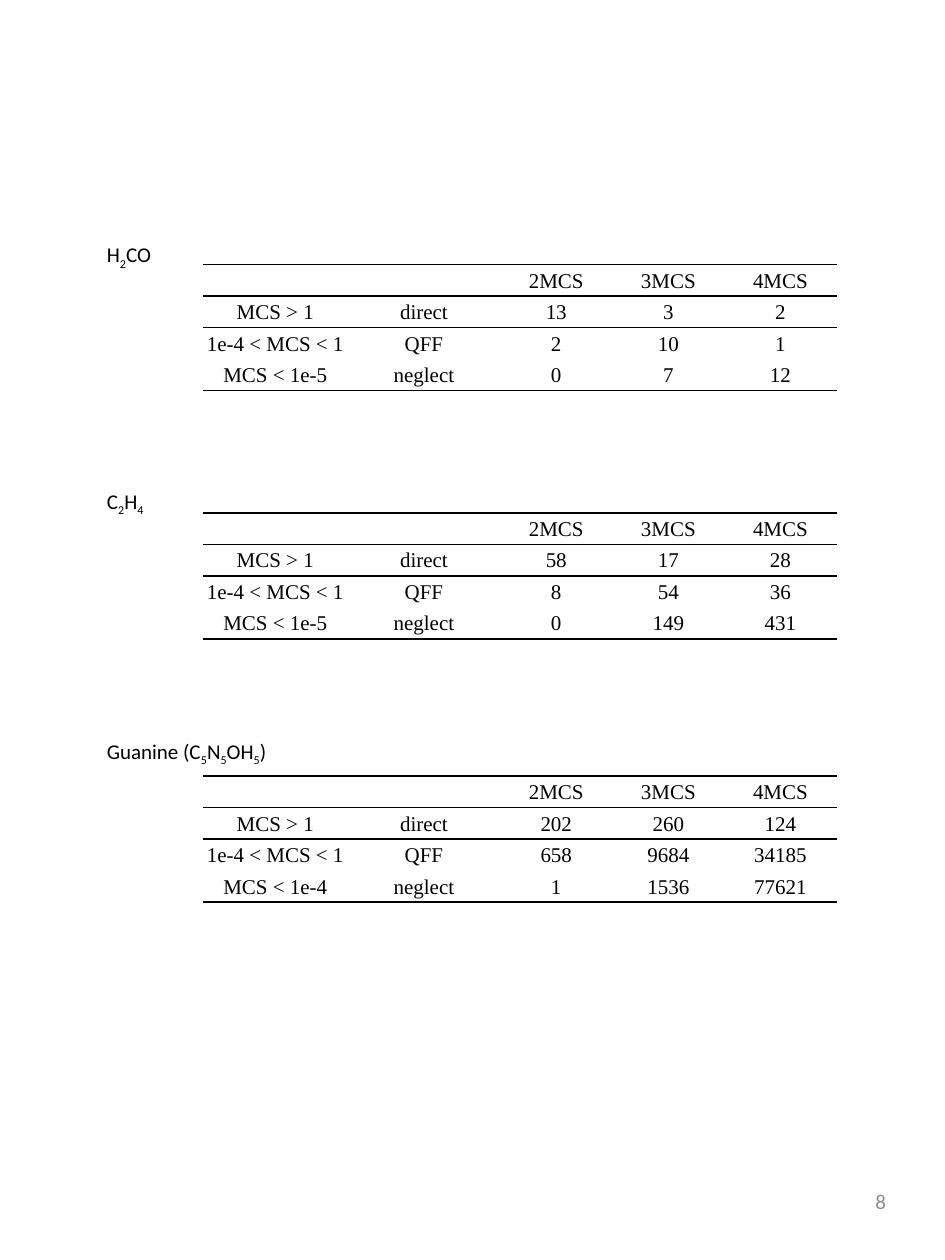
"""Build a slide of three mode-coupling tables, one for each molecule."""
from dataclasses import dataclass
from itertools import groupby

from lxml.etree import SubElement
from pptx import Presentation
from pptx.dml.color import RGBColor
from pptx.enum.text import MSO_ANCHOR, PP_ALIGN
from pptx.oxml import parse_xml
from pptx.oxml.ns import nsdecls, qn
from pptx.util import Inches, Pt


@dataclass(frozen=True)
class Theme:
    """Colours, fonts, sizes and the grid unit of the slide."""
    ink: str = "000000"
    muted: str = "8C8C8C"
    label_font: str = "Calibri"
    table_font: str = "Times New Roman"
    size: int = 12
    rule: int = 1
    unit: float = 0.25
    table_style: str = "{2D5ABB26-0587-4C30-8999-92F81FD0307C}"


class SlideBuilder:
    """Places text and tables on a grid of 30 columns and 40 rows."""

    def __init__(self, slide, theme):
        """Keep the slide and its theme."""
        self.slide = slide
        self.theme = theme

    def grid(self, *cells):
        """Turn grid counts into lengths."""
        return [Inches(cell * self.theme.unit) for cell in cells]

    def style(self, paragraph, font_name, color, align):
        """Set the font and alignment of a paragraph."""
        paragraph.alignment = align
        paragraph.font.name = font_name
        paragraph.font.size = Pt(self.theme.size)
        paragraph.font.color.rgb = RGBColor.from_string(color)

    def text_box(self, column, row, width, height):
        """Add an empty text box and return its frame."""
        return self.slide.shapes.add_textbox(*self.grid(column, row, width, height)).text_frame

    def formula(self, text, column, row, width):
        """Add a molecule label with its digits as subscripts."""
        frame = self.text_box(column, row, width, 1.2)
        frame.word_wrap = False
        paragraph = frame.paragraphs[0]
        self.style(paragraph, self.theme.label_font, self.theme.ink, PP_ALIGN.LEFT)
        for is_subscript, letters in groupby(text, str.isdigit):
            run = paragraph.add_run()
            run.text = "".join(letters)
            if is_subscript:
                run.font._element.set("baseline", "-25000")

    def page_number(self, number, column, row, width, height):
        """Add the page number, right-aligned."""
        frame = self.text_box(column, row, width, height)
        frame.word_wrap = True
        frame.vertical_anchor = MSO_ANCHOR.MIDDLE
        paragraph = frame.paragraphs[0]
        paragraph.text = str(number)
        self.style(paragraph, self.theme.label_font, self.theme.muted, PP_ALIGN.RIGHT)

    def border(self, cell, side):
        """Rule one side of a cell."""
        line = parse_xml(
            f'<a:{side} {nsdecls("a")} w="{Pt(self.theme.rule)}"><a:solidFill>'
            f'<a:srgbClr val="{self.theme.ink}"/></a:solidFill></a:{side}>'
        )
        cell._tc.get_or_add_tcPr().insert(0, line)

    def fill_cell(self, cell, text):
        """Write and style one table cell."""
        cell.fill.background()
        cell.vertical_anchor = MSO_ANCHOR.MIDDLE
        cell.margin_left = cell.margin_right = cell.margin_top = Inches(0.01)
        cell.margin_bottom = 0
        paragraph = cell.text_frame.paragraphs[0]
        paragraph.text = text
        self.style(paragraph, self.theme.table_font, self.theme.ink, PP_ALIGN.CENTER)
        if not text:
            SubElement(paragraph._p, qn("a:endParaRPr"), sz=str(self.theme.size * 100))

    def table(self, rows, column, row, widths):
        """Add a table ruled above, below and under its header."""
        frame = self.slide.shapes.add_table(
            len(rows), len(widths), *self.grid(column, row, sum(widths), len(rows))
        )
        table = frame.table
        table.first_row = table.horz_banding = False
        frame._element.find(".//" + qn("a:tableStyleId")).text = self.theme.table_style
        for table_column, width in zip(table.columns, self.grid(*widths)):
            table_column.width = width
        for row_index, texts in enumerate(rows):
            for column_index, text in enumerate(texts):
                cell = table.cell(row_index, column_index)
                self.fill_cell(cell, text)
                if row_index < 2:
                    self.border(cell, "lnT")
                if row_index == len(rows) - 1:
                    self.border(cell, "lnB")


HEADER = ("", "", "2MCS", "3MCS", "4MCS")
TREATMENTS = ("direct", "QFF", "neglect")
COLUMN_WIDTHS = (4.6, 4.84, 3.56, 3.56, 3.56)
MOLECULES = (
    ("H2CO", 2.24, 7.48, 8.4, "MCS < 1e-5",
     (("13", "3", "2"), ("2", "10", "1"), ("0", "7", "12"))),
    ("C2H4", 2.04, 15.32, 16.28, "MCS < 1e-5",
     (("58", "17", "28"), ("8", "54", "36"), ("0", "149", "431"))),
    ("Guanine (C5N5OH5)", 6, 23.24, 24.64, "MCS < 1e-4",
     (("202", "260", "124"), ("658", "9684", "34185"), ("1", "1536", "77621"))),
)


def main():
    """Build and save the presentation."""
    presentation = Presentation()
    presentation.slide_width, presentation.slide_height = Inches(7.5), Inches(10)
    slide = presentation.slides.add_slide(presentation.slide_layouts[6])
    builder = SlideBuilder(slide, Theme())
    builder.page_number(8, 21.52, 37.08, 7, 2.12)
    for name, label_width, label_row, table_row, lowest_range, counts in MOLECULES:
        ranges = ("MCS > 1", "1e-4 < MCS < 1", lowest_range)
        body = [(*labels, *values) for *labels, values in zip(ranges, TREATMENTS, counts)]
        builder.table([HEADER, *body], 6.44, table_row, COLUMN_WIDTHS)
        builder.formula(name, 3, label_row, label_width)
    presentation.save("out.pptx")


if __name__ == "__main__":
    main()
